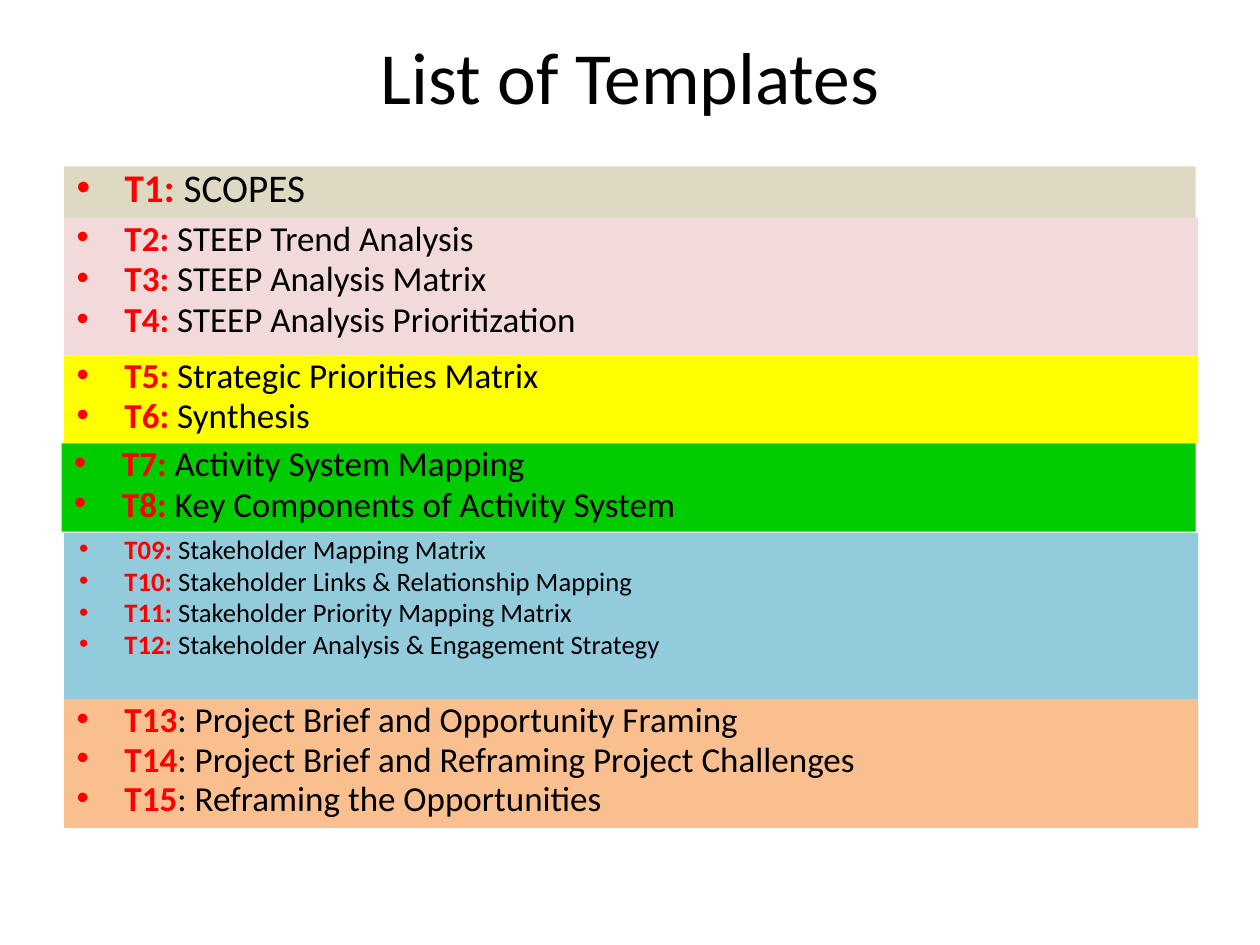
from pptx import Presentation
from pptx.dml.color import RGBColor
from pptx.enum.shapes import MSO_SHAPE
from pptx.enum.text import MSO_ANCHOR, MSO_AUTO_SIZE, PP_ALIGN
from pptx.oxml.ns import qn
from pptx.util import Inches, Pt
from lxml import etree

RECT = MSO_SHAPE.RECTANGLE
TOP, MIDDLE = MSO_ANCHOR.TOP, MSO_ANCHOR.MIDDLE
LEFT, CENTER = PP_ALIGN.LEFT, PP_ALIGN.CENTER
NO_FIT = MSO_AUTO_SIZE.NONE

BLACK = RGBColor(0x00, 0x00, 0x00)
RED = RGBColor(0xFF, 0x00, 0x00)
TAN = RGBColor(0xDD, 0xD9, 0xC3)
PINK = RGBColor(0xF2, 0xDA, 0xDA)
YELLOW = RGBColor(0xFF, 0xFF, 0x00)
GREEN = RGBColor(0x00, 0xCC, 0x00)
BLUE = RGBColor(0x92, 0xCC, 0xDC)
ORANGE = RGBColor(0xFA, 0xBF, 0x8E)
FONT = "Calibri"

# Content: one band per group of templates, each item as (label, name)
TITLE = "List of Templates"
BANDS = [
    dict(left=0.51, top=1.32, width=8.98, height=0.41, fill=TAN, size=22.4,
         items=[("T1:", " SCOPES")]),
    dict(left=0.51, top=1.73, height=1.09, fill=PINK,
         items=[("T2:", " STEEP Trend Analysis"),
                ("T3:", " STEEP Analysis Matrix"),
                ("T4:", " STEEP Analysis Prioritization")]),
    dict(left=0.51, top=2.82, height=0.7, fill=YELLOW,
         items=[("T5:", " Strategic Priorities Matrix"),
                ("T6:", " Synthesis")]),
    dict(left=0.49, top=3.52, height=0.7, fill=GREEN,
         items=[("T7:", " Activity System Mapping"),
                ("T8:", " Key Components of Activity System")]),
    dict(left=0.51, top=4.23, height=1.33, fill=BLUE, size=15.2, gap=3.5, hang=0.36,
         items=[("T09:", " Stakeholder Mapping Matrix"),
                ("T10:", " Stakeholder Links & Relationship Mapping"),
                ("T11:", " Stakeholder Priority Mapping Matrix"),
                ("T12:", " Stakeholder Analysis & Engagement Strategy")]),
    dict(left=0.51, top=5.55, height=1.02, fill=ORANGE, gap=3.5,
         items=[("T13", ": Project Brief and Opportunity Framing"),
                ("T14", ": Project Brief and Reframing Project Challenges"),
                ("T15", ": Reframing the Opportunities")]),
]


def add_text(p, text, size=20, color=BLACK, bold=False):
    r = p.add_run()
    r.text = text
    r.font.name = FONT
    r.font.size = Pt(size)
    r.font.bold = bold
    r.font.color.rgb = color


def set_frame(tf, anchor):
    tf.word_wrap = True
    tf.auto_size = NO_FIT
    tf.vertical_anchor = anchor
    tf.margin_left = tf.margin_right = Inches(0.1)
    tf.margin_top = tf.margin_bottom = Inches(0.05)


def add_bullet(p, hang):
    pPr = p._p.get_or_add_pPr()
    pPr.set("marL", str(Inches(0.38)))
    pPr.set("indent", str(-Inches(hang)))
    color = etree.SubElement(pPr, qn("a:buClr"))
    etree.SubElement(color, qn("a:srgbClr"), val=str(RED))
    etree.SubElement(pPr, qn("a:buFont"), typeface="Arial")
    etree.SubElement(pPr, qn("a:buChar"), char="•")


def add_band(slide, left, top, height, fill, items, width=9, size=20, gap=4, hang=0.38):
    sp = slide.shapes.add_shape(RECT, Inches(left), Inches(top), Inches(width), Inches(height))
    sp.shadow.inherit = False
    sp.fill.solid()
    sp.fill.fore_color.rgb = fill
    sp.line.fill.background()
    tf = sp.text_frame
    set_frame(tf, TOP)
    for i, (label, name) in enumerate(items):
        p = tf.add_paragraph() if i else tf.paragraphs[0]
        p.alignment = LEFT
        p.line_spacing = 0.8
        p.space_before = Pt(gap if i else 0)
        add_bullet(p, hang)
        add_text(p, label, size=size, color=RED, bold=True)
        add_text(p, name, size=size)


prs = Presentation()
prs.slide_width, prs.slide_height = Inches(10), Inches(7.5)
slide = prs.slides.add_slide(prs.slide_layouts[5])

# Title
title = slide.shapes.title
title.left, title.top = Inches(0.5), Inches(0.3)
title.width, title.height = Inches(9), Inches(0.59)
set_frame(title.text_frame, MIDDLE)
p = title.text_frame.paragraphs[0]
p.alignment = CENTER
add_text(p, TITLE, size=42)

# Coloured bands
for band in BANDS:
    add_band(slide, **band)

prs.save("out.pptx")
